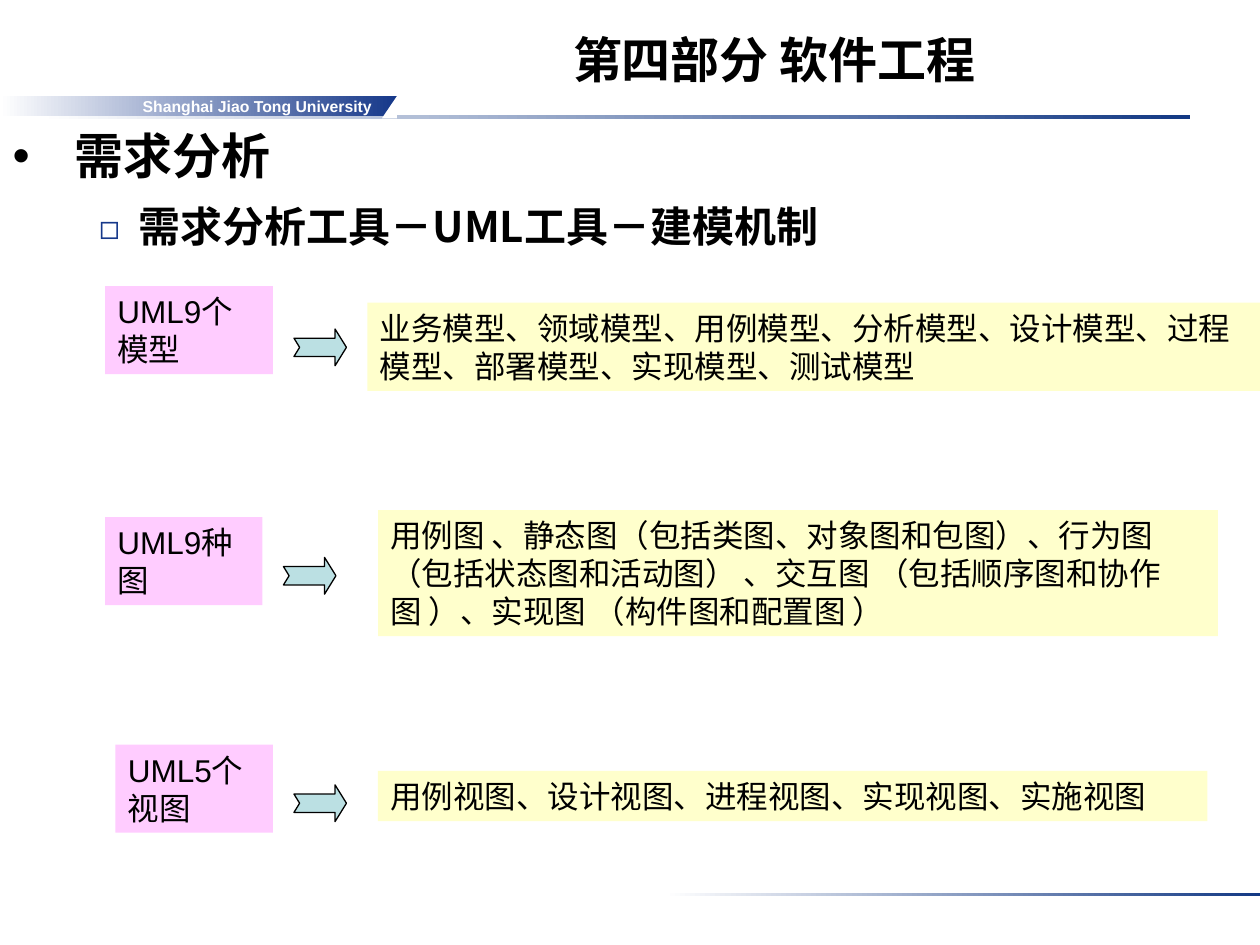
from typing import NamedTuple

from lxml.etree import SubElement
from pptx import Presentation
from pptx.dml.color import RGBColor
from pptx.enum.shapes import MSO_SHAPE
from pptx.enum.text import MSO_ANCHOR, MSO_AUTO_SIZE, PP_ALIGN
from pptx.oxml.ns import qn
from pptx.util import Pt

ARIAL = "Arial"
NOTO = "Noto Sans CJK SC"


class Box(NamedTuple):
    left: float
    top: float
    width: float
    height: float


class Row(NamedTuple):
    label: str
    pink: Box
    arrow: Box
    detail: str
    cream: Box


class Point(NamedTuple):
    text: str
    level: int
    size: float
    face: str
    margin: float
    indent: float
    before: float
    mark: str
    tint: str
    scale: int


ROWS = [
    Row("UML9个模型", Box(60, 163.5, 96, 50.4), Box(168, 188, 30, 21),
        "业务模型、领域模型、用例模型、分析模型、设计模型、过程模型、部署模型、实现模型、测试模型",
        Box(210, 173, 510, 50.4)),
    Row("UML9种图", Box(60, 295.5, 90, 50.4), Box(162, 318.5, 30, 21),
        "用例图 、静态图（包括类图、对象图和包图）、行为图（包括状态图和活动图） 、"
        "交互图 （包括顺序图和协作图 ）、实现图 （构件图和配置图 ）",
        Box(216, 291.5, 480, 72)),
    Row("UML5个视图", Box(66, 425.5, 90, 50.4), Box(168, 448.5, 30, 21),
        "用例视图、设计视图、进程视图、实现视图、实施视图",
        Box(216, 440.5, 474, 28.8)),
]

POINTS = [
    Point("需求分析", 0, 28, ARIAL, 35.5, -35.5, 0, "•", "000000", 100),
    Point("需求分析工具－UML工具－建模机制", 1, 24, NOTO, 72, -22.5, 6, "◻", "16388A", 80),
]


def paint(color, tone: str) -> None:
    color.rgb = RGBColor.from_string(tone)


def style(para, size: float, face: str = ARIAL, tone: str = "000000", bold: bool = False) -> None:
    font = para.font
    font.size, font.name, font.bold = Pt(size), face, bold
    font.fill.solid()
    paint(font.fill.fore_color, tone)
    base = para._p.get_or_add_pPr().find(qn("a:defRPr"))
    SubElement(base, qn("a:ea")).set("typeface", NOTO)


def place(shape, box: Box) -> None:
    shape.left, shape.top, shape.width, shape.height = map(Pt, box)


def add_shape(slide, kind: MSO_SHAPE, box: Box, tone: str):
    shape = slide.shapes.add_shape(kind, *map(Pt, box))
    shape.shadow.inherit = False
    shape.fill.solid()
    paint(shape.fill.fore_color, tone)
    shape.line.fill.background()
    return shape


def add_fade(slide, box: Box, tone: str):
    shape = add_shape(slide, MSO_SHAPE.RECTANGLE, box, tone)
    shape.fill.gradient()
    shape.fill.gradient_angle = 0
    for stop, shade in zip(shape.fill.gradient_stops, ("FFFFFF", tone)):
        paint(stop.color, shade)
    return shape


def add_note(slide, box: Box, text: str, tone: str, face: str) -> None:
    shape = add_shape(slide, MSO_SHAPE.RECTANGLE, box, tone)
    frame = shape.text_frame
    frame.word_wrap = True
    frame.vertical_anchor = MSO_ANCHOR.TOP
    para = frame.paragraphs[0]
    para.text = text
    para.alignment = PP_ALIGN.LEFT
    style(para, 18, face)


def add_arrow(slide, box: Box) -> None:
    arrow = add_shape(slide, MSO_SHAPE.NOTCHED_RIGHT_ARROW, box, "BBE0E3")
    arrow.adjustments[0] = 0.5
    arrow.adjustments[1] = 0.31
    arrow.line.fill.solid()
    paint(arrow.line.fill.fore_color, "000000")
    arrow.line.width = Pt(0.75)


def add_frame(slide) -> None:
    add_fade(slide, Box(22.5, 65.75, 657.5, 2), "133984")
    add_fade(slide, Box(380, 510, 340, 2), "133984")
    band = add_fade(slide, Box(0, 55, 226.8, 11.2), "16388A")
    frame = band.text_frame
    frame.word_wrap = True
    frame.vertical_anchor = MSO_ANCHOR.MIDDLE
    frame.margin_right = Pt(14.4)
    para = frame.paragraphs[0]
    para.text = "Shanghai Jiao Tong University"
    para.alignment = PP_ALIGN.RIGHT
    style(para, 9, tone="FFFFFF", bold=True)
    notch = add_shape(slide, MSO_SHAPE.RIGHT_TRIANGLE, Box(218.2, 55, 8.6, 12.7), "FFFFFF")
    notch._element.spPr.find(qn("a:xfrm")).set("flipH", "1")


def fill_title(title) -> None:
    place(title, Box(186.5, 0, 512, 54))
    frame = title.text_frame
    frame.auto_size = MSO_AUTO_SIZE.NONE
    frame.vertical_anchor = MSO_ANCHOR.BOTTOM
    para = frame.paragraphs[0]
    para.text = "第四部分 软件工程"
    para.alignment = PP_ALIGN.CENTER
    style(para, 28, bold=True)


def add_point(para, point: Point) -> None:
    para.text = point.text
    para.level = point.level
    para.line_spacing = 1.1
    para.space_before = Pt(point.before)
    props = para._p.get_or_add_pPr()
    props.set("marL", str(Pt(point.margin)))
    props.set("indent", str(Pt(point.indent)))
    color = SubElement(props, qn("a:buClr"))
    SubElement(color, qn("a:srgbClr")).set("val", point.tint)
    SubElement(props, qn("a:buSzPct")).set("val", str(point.scale * 1000))
    SubElement(props, qn("a:buFont")).set("typeface", point.face)
    SubElement(props, qn("a:buChar")).set("char", point.mark)
    style(para, point.size, point.face, bold=True)


def fill_body(body) -> None:
    place(body, Box(0, 65, 666, 410))
    frame = body.text_frame
    frame.auto_size = MSO_AUTO_SIZE.NONE
    for i, point in enumerate(POINTS):
        add_point(frame.add_paragraph() if i else frame.paragraphs[0], point)


def main() -> None:
    deck = Presentation()
    deck.slide_width, deck.slide_height = Pt(720), Pt(540)
    slide = deck.slides.add_slide(deck.slide_layouts[1])
    add_frame(slide)
    fill_title(slide.shapes.title)
    fill_body(slide.placeholders[1])
    for row in ROWS:
        add_note(slide, row.pink, row.label, "FFCCFF", ARIAL)
        add_arrow(slide, row.arrow)
        add_note(slide, row.cream, row.detail, "FFFFCC", NOTO)
    deck.save("out.pptx")


if __name__ == "__main__":
    main()
